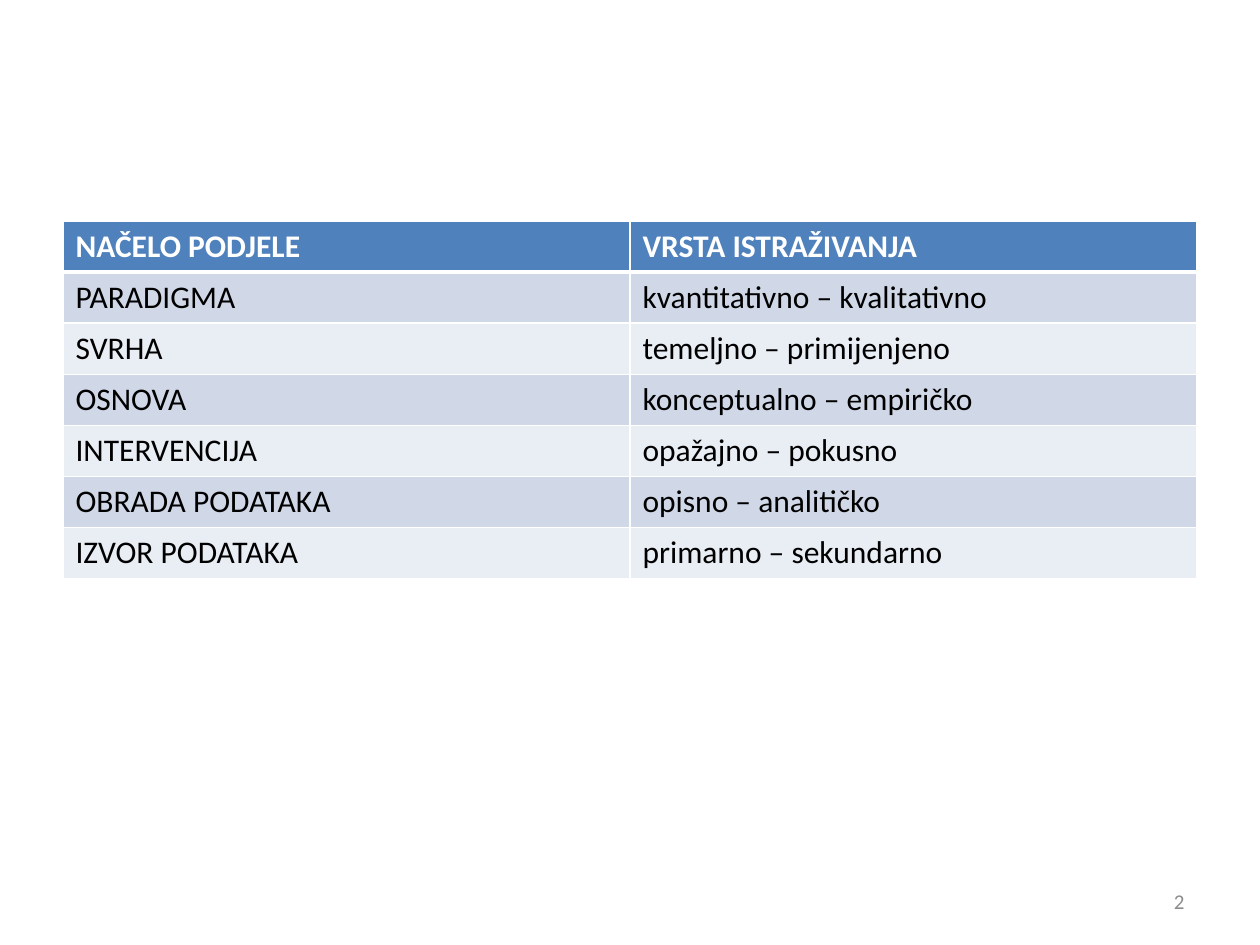
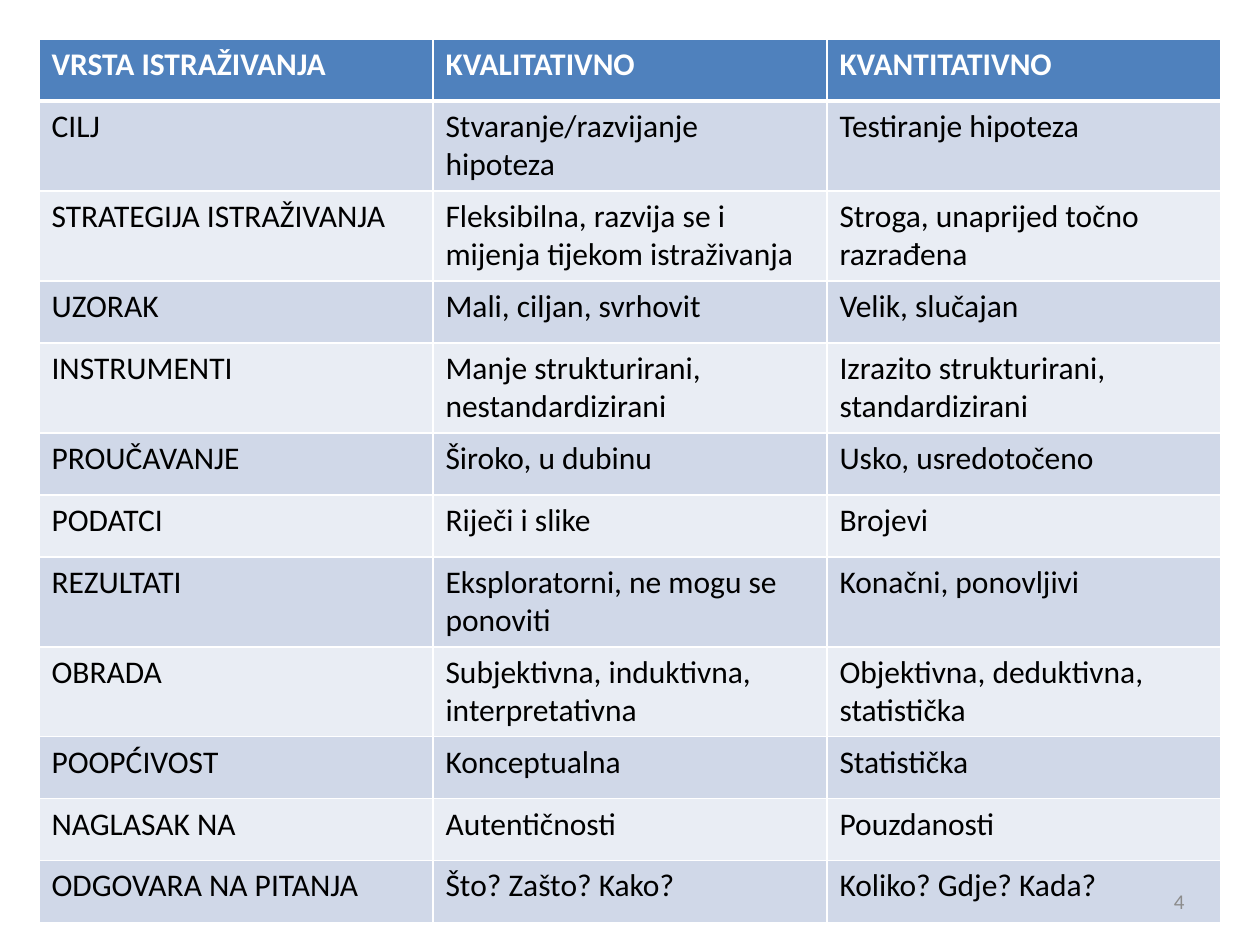
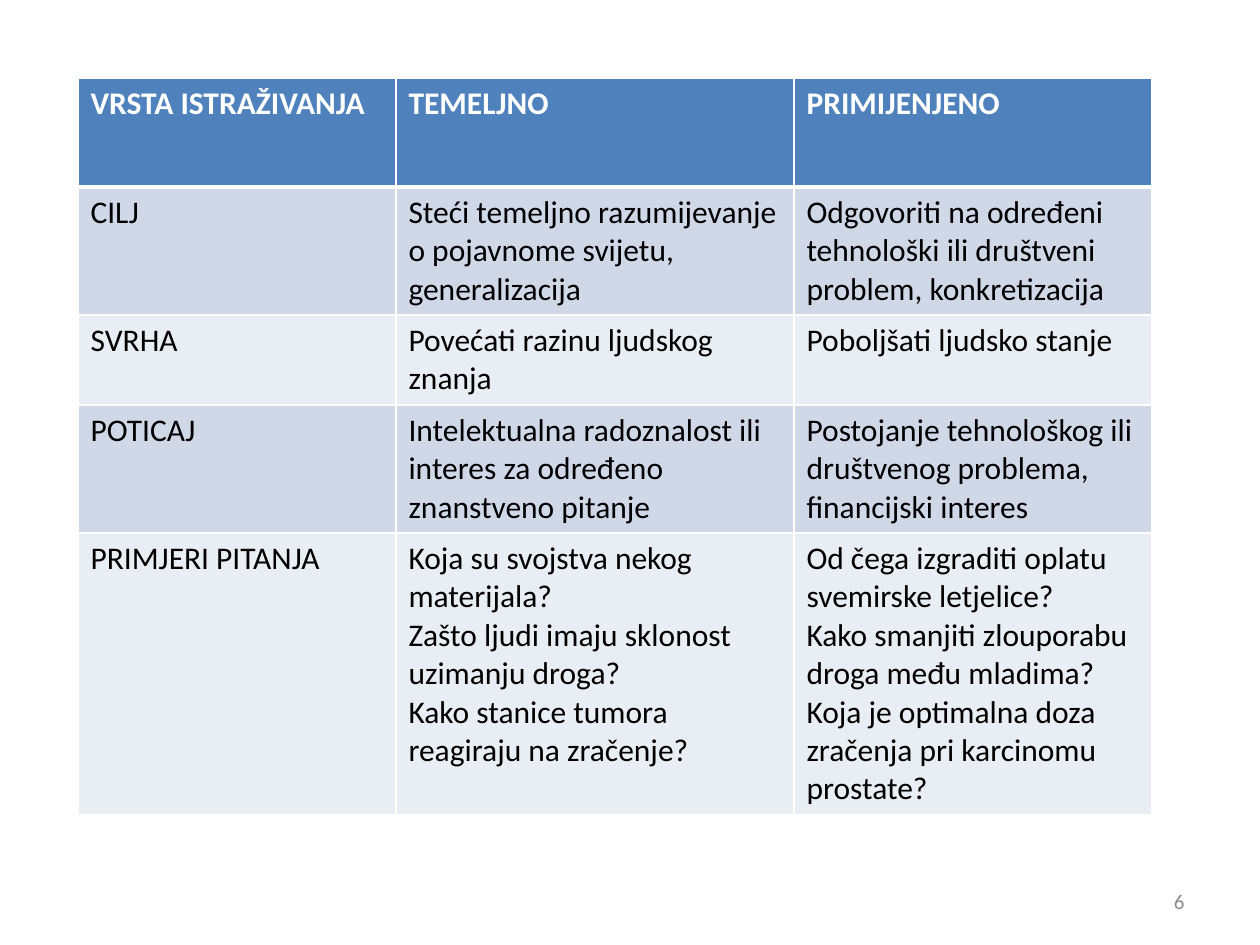
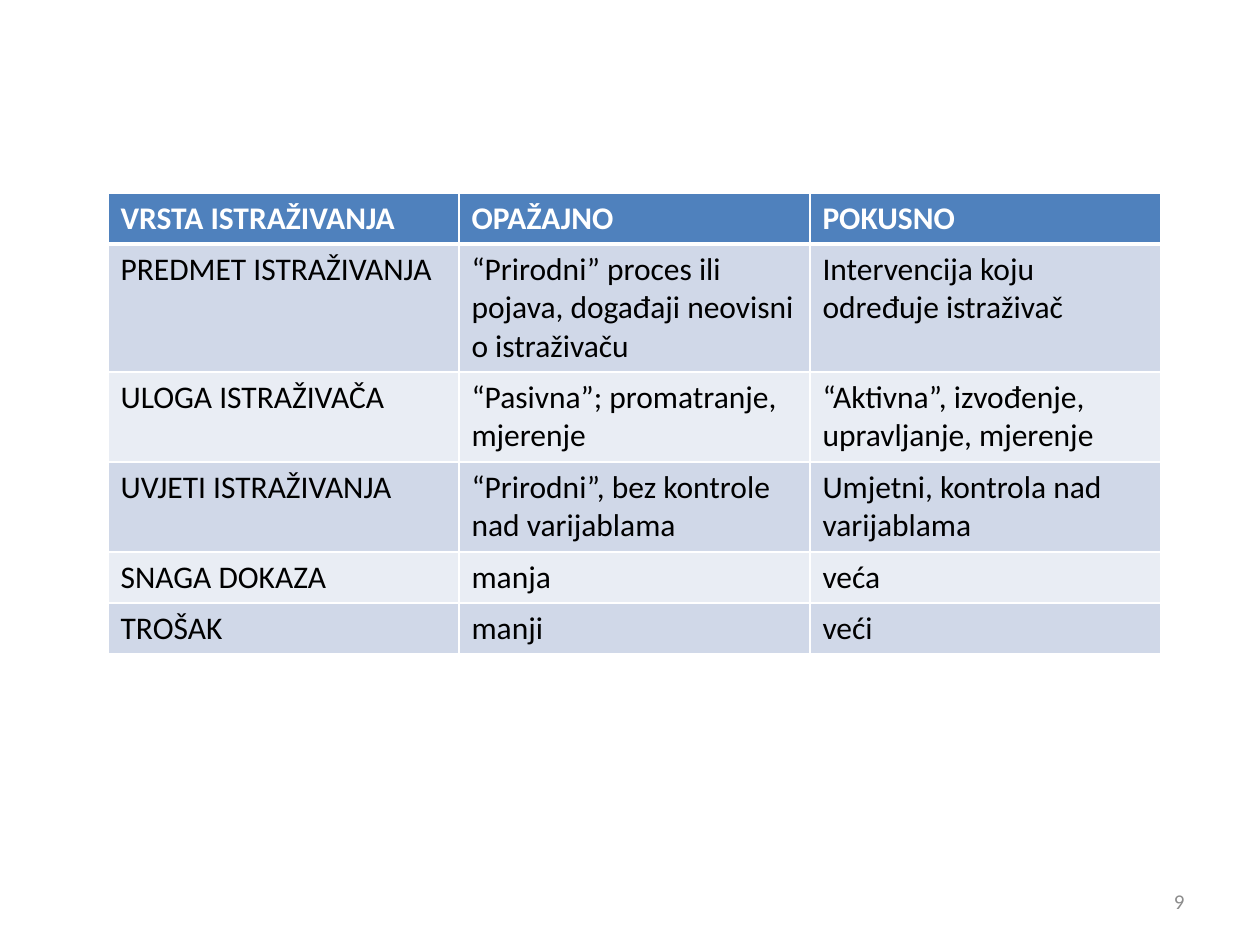
"""Build four slides of tables that compare types of research."""
from dataclasses import dataclass

from lxml.etree import SubElement
from pptx import Presentation
from pptx.dml.color import RGBColor
from pptx.enum.text import MSO_ANCHOR, PP_ALIGN
from pptx.oxml.ns import qn
from pptx.util import Inches, Pt

EMU_PER_PX = Inches(1) / 126


@dataclass(frozen=True)
class Theme:
    """Colours, type sizes and line widths shared by all slides."""
    font: str = "Calibri"
    header_fill: str = "4F81BD"
    band_fills: tuple = ("D0D8E8", "E9EDF4")
    header_text: str = "FFFFFF"
    body_text: str = "000000"
    number_text: str = "8C8C8C"
    border: str = "FFFFFF"
    table_size: int = 18
    number_size: int = 12
    thin_line: int = 1
    thick_line: int = 3


THEME = Theme()


@dataclass(frozen=True)
class TableSlide:
    """Content and pixel layout of one table slide."""
    number: int
    left: int
    top: int
    column_widths: tuple
    row_heights: tuple
    rows: tuple


TABLE_SLIDES = (
    TableSlide(2, 63, 221, (567,) * 2, (51,) * 7, (
        ("NAČELO PODJELE", "VRSTA ISTRAŽIVANJA"),
        ("PARADIGMA", "kvantitativno – kvalitativno"),
        ("SVRHA", "temeljno – primijenjeno"),
        ("OSNOVA", "konceptualno – empiričko"),
        ("INTERVENCIJA", "opažajno – pokusno"),
        ("OBRADA PODATAKA", "opisno – analitičko"),
        ("IZVOR PODATAKA", "primarno – sekundarno"),
    )),
    TableSlide(4, 39, 39, (394,) * 3, (62, 90, 90, 62, 90, 62, 62, 90, 90, 62, 62, 62), (
        ("VRSTA ISTRAŽIVANJA", "KVALITATIVNO", "KVANTITATIVNO"),
        ("CILJ", "Stvaranje/razvijanje hipoteza", "Testiranje hipoteza"),
        ("STRATEGIJA ISTRAŽIVANJA", "Fleksibilna, razvija se i mijenja tijekom istraživanja",
         "Stroga, unaprijed točno razrađena"),
        ("UZORAK", "Mali, ciljan, svrhovit", "Velik, slučajan"),
        ("INSTRUMENTI", "Manje strukturirani, nestandardizirani",
         "Izrazito strukturirani, standardizirani"),
        ("PROUČAVANJE", "Široko, u dubinu", "Usko, usredotočeno"),
        ("PODATCI", "Riječi i slike", "Brojevi"),
        ("REZULTATI", "Eksploratorni, ne mogu se ponoviti", "Konačni, ponovljivi"),
        ("OBRADA", "Subjektivna, induktivna, interpretativna",
         "Objektivna, deduktivna, statistička"),
        ("POOPĆIVOST", "Konceptualna", "Statistička"),
        ("NAGLASAK NA", "Autentičnosti", "Pouzdanosti"),
        ("ODGOVARA NA PITANJA", "Što? Zašto? Kako?", "Koliko? Gdje? Kada?"),
    )),
    TableSlide(6, 78, 78, (318, 398, 358), (109, 128, 90, 128, 282), (
        ("VRSTA ISTRAŽIVANJA", "TEMELJNO", "PRIMIJENJENO"),
        ("CILJ", "Steći temeljno razumijevanje o pojavnome svijetu, generalizacija",
         "Odgovoriti na određeni tehnološki ili društveni problem, konkretizacija"),
        ("SVRHA", "Povećati razinu ljudskog znanja", "Poboljšati ljudsko stanje"),
        ("POTICAJ", "Intelektualna radoznalost ili interes za određeno znanstveno pitanje",
         "Postojanje tehnološkog ili društvenog problema, financijski interes"),
        ("PRIMJERI PITANJA",
         "Koja su svojstva nekog materijala?\n"
         "Zašto ljudi imaju sklonost uzimanju droga?\n"
         "Kako stanice tumora reagiraju na zračenje?",
         "Od čega izgraditi oplatu svemirske letjelice?\n"
         "Kako smanjiti zlouporabu droga među mladima?\n"
         "Koja je optimalna doza zračenja pri karcinomu prostate?"),
    )),
    TableSlide(9, 108, 193, (351,) * 3, (51, 128, 90, 90, 51, 51), (
        ("VRSTA ISTRAŽIVANJA", "OPAŽAJNO", "POKUSNO"),
        ("PREDMET ISTRAŽIVANJA",
         "“Prirodni” proces ili pojava, događaji neovisni o istraživaču",
         "Intervencija koju određuje istraživač"),
        ("ULOGA ISTRAŽIVAČA", "“Pasivna”; promatranje, mjerenje",
         "“Aktivna”, izvođenje, upravljanje, mjerenje"),
        ("UVJETI ISTRAŽIVANJA", "“Prirodni”, bez kontrole nad varijablama",
         "Umjetni, kontrola nad varijablama"),
        ("SNAGA DOKAZA", "manja", "veća"),
        ("TROŠAK", "manji", "veći"),
    )),
)


def px(length):
    """Turn pixels into EMU."""
    return round(length * EMU_PER_PX)


def add_run(paragraph, text, size, color, bold=False):
    """Add one formatted run to a paragraph."""
    run = paragraph.add_run()
    run.text = text
    run.font.name = THEME.font
    run.font.size = Pt(size)
    run.font.bold = bold
    run.font.color.rgb = RGBColor.from_string(color)


def set_borders(cell, row_index):
    """Draw thin cell borders with a thick rule below the header."""
    properties = cell._tc.get_or_add_tcPr()
    thick_side = {0: "lnB", 1: "lnT"}.get(row_index)
    for side in ("lnL", "lnR", "lnT", "lnB"):
        width = THEME.thick_line if side == thick_side else THEME.thin_line
        line = SubElement(properties, qn(f"a:{side}"), w=str(Pt(width)))
        fill = SubElement(line, qn("a:solidFill"))
        SubElement(fill, qn("a:srgbClr"), val=THEME.border)


def fill_cell(cell, text, row_index):
    """Write and style one table cell according to its row."""
    is_header = row_index == 0
    fill_color = THEME.header_fill if is_header else THEME.band_fills[(row_index - 1) % 2]
    text_color = THEME.header_text if is_header else THEME.body_text
    set_borders(cell, row_index)
    cell.fill.solid()
    cell.fill.fore_color.rgb = RGBColor.from_string(fill_color)
    frame = cell.text_frame
    for index, line in enumerate(text.split("\n")):
        paragraph = frame.add_paragraph() if index else frame.paragraphs[0]
        add_run(paragraph, line, THEME.table_size, text_color, is_header)


def add_research_table(slide, content):
    """Add the table of one slide."""
    shape = slide.shapes.add_table(
        len(content.rows), len(content.column_widths), px(content.left), px(content.top),
        px(sum(content.column_widths)), px(sum(content.row_heights)))
    table = shape.table
    for column, width in zip(table.columns, content.column_widths):
        column.width = px(width)
    for row_index, (row, height) in enumerate(zip(table.rows, content.row_heights)):
        row.height = px(height)
        for cell, text in zip(row.cells, content.rows[row_index]):
            fill_cell(cell, text, row_index)


def add_slide_number(slide, number):
    """Add the slide number at the bottom right."""
    frame = slide.shapes.add_textbox(px(903), px(876), px(294), px(50)).text_frame
    frame.word_wrap = True
    frame.vertical_anchor = MSO_ANCHOR.MIDDLE
    paragraph = frame.paragraphs[0]
    paragraph.alignment = PP_ALIGN.RIGHT
    add_run(paragraph, str(number), THEME.number_size, THEME.number_text)


def main():
    """Build and save the presentation."""
    presentation = Presentation()
    presentation.slide_width = px(1260)
    presentation.slide_height = px(945)
    blank_layout = presentation.slide_layouts[6]
    for content in TABLE_SLIDES:
        slide = presentation.slides.add_slide(blank_layout)
        add_research_table(slide, content)
        add_slide_number(slide, content.number)
    presentation.save("out.pptx")


if __name__ == "__main__":
    main()
